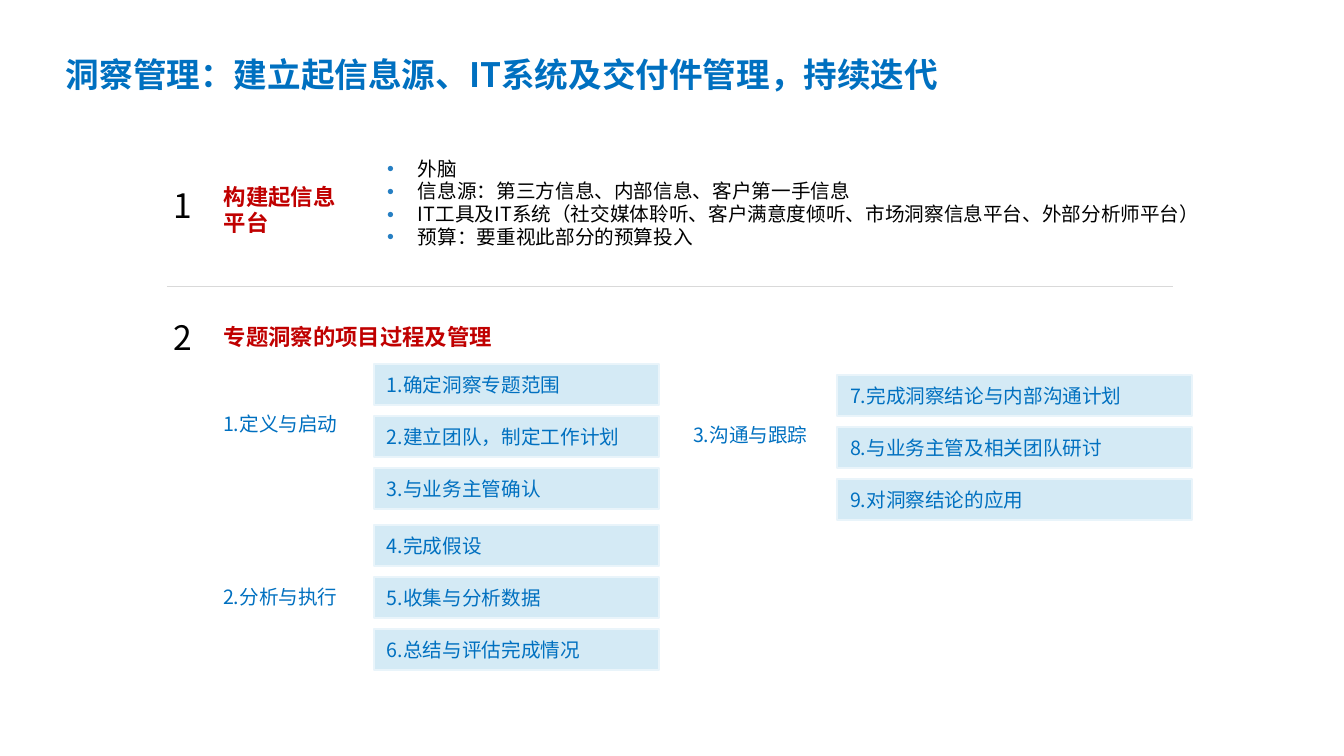
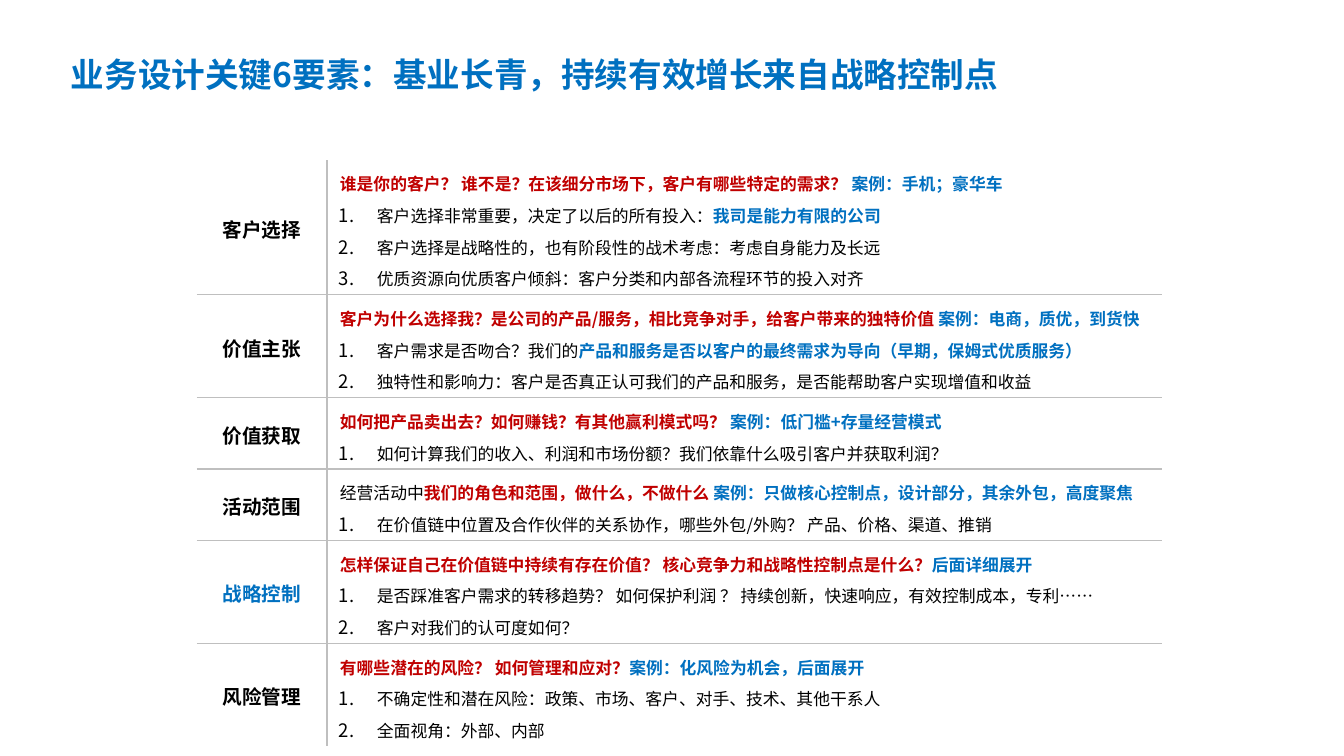
from dataclasses import dataclass

from lxml.etree import SubElement
from pptx import Presentation
from pptx.dml.color import RGBColor
from pptx.enum.shapes import MSO_CONNECTOR as Connector, MSO_SHAPE as Shape
from pptx.enum.text import MSO_ANCHOR as Anchor, MSO_AUTO_SIZE as AutoSize, PP_ALIGN as Align
from pptx.oxml.ns import qn
from pptx.util import Emu, Pt

EMU_PER_PX = 914400 / 100.8
NO_TABLE_STYLE = "{2D5ABB26-0587-4C30-8999-92F81FD0307C}"


@dataclass(frozen=True)
class Theme:
    """Colours, type sizes and font of the deck."""
    font: str = "Noto Sans CJK SC"
    blue: str = "0070C0"
    red: str = "C00000"
    black: str = "000000"
    bullet: str = "267FC3"
    bar: str = "D4EAF5"
    bar_edge: str = "E9F4FA"
    divider: str = "D9D9D9"
    grid: str = "BFBFBF"
    title: int = 24
    heading: int = 16
    body: int = 14
    detail: int = 12


THEME = Theme()
PLAIN = (THEME.black, False)
STRONG = (THEME.black, True)
ASK = (THEME.red, True)
CASE = (THEME.blue, True)
STEP = (THEME.blue, False)

SOURCES = [
    "外脑",
    "信息源：第三方信息、内部信息、客户第一手信息",
    "IT工具及IT系统（社交媒体聆听、客户满意度倾听、市场洞察信息平台、外部分析师平台）",
    "预算：要重视此部分的预算投入",
]

STAGES = [
    ("1.定义与启动", (210, 364, 449), 41, ["1.确定洞察专题范围", "2.建立团队，制定工作计划", "3.与业务主管确认"]),
    ("2.分析与执行", (210, 525, 449), 53, ["4.完成假设", "5.收集与分析数据", "6.总结与评估完成情况"]),
    ("3.沟通与跟踪", (680, 375, 512), 41,
     ["7.完成洞察结论与内部沟通计划", "8.与业务主管及相关团队研讨", "9.对洞察结论的应用"]),
]

ELEMENTS = [
    ("客户选择", STRONG, [
        [("谁是你的客户？ 谁不是？在该细分市场下，客户有哪些特定的需求？ ", ASK), ("案例：手机；豪华车", CASE)],
        [("客户选择非常重要，决定了以后的所有投入：", PLAIN), ("我司是能力有限的公司", CASE)],
        [("客户选择是战略性的，也有阶段性的战术考虑：考虑自身能力及长远", PLAIN)],
        [("优质资源向优质客户倾斜：客户分类和内部各流程环节的投入对齐", PLAIN)],
    ]),
    ("价值主张", STRONG, [
        [("客户为什么选择我？是公司的产品/服务，相比竞争对手，给客户带来的独特价值 ", ASK),
         ("案例：电商，质优，到货快", CASE)],
        [("客户需求是否吻合？我们的", PLAIN),
         ("产品和服务是否以客户的最终需求为导向（早期，保姆式优质服务）", CASE)],
        [("独特性和影响力：客户是否真正认可我们的产品和服务，是否能帮助客户实现增值和收益", PLAIN)],
    ]),
    ("价值获取", STRONG, [
        [("如何把产品卖出去？如何赚钱？有其他赢利模式吗？ ", ASK), ("案例：低门槛+存量经营模式", CASE)],
        [("如何计算我们的收入、利润和市场份额？我们依靠什么吸引客户并获取利润？", PLAIN)],
    ]),
    ("活动范围", STRONG, [
        [("经营活动中", PLAIN), ("我们的角色和范围，做什么，不做什么", ASK),
         (" 案例：只做核心控制点，设计部分，其余外包，高度聚焦", CASE)],
        [("在价值链中位置及合作伙伴的关系协作，哪些外包/外购？ 产品、价格、渠道、推销", PLAIN)],
    ]),
    ("战略控制", CASE, [
        [("怎样保证自己在价值链中持续有存在价值？ 核心竞争力和战略性控制点是什么？", ASK),
         ("后面详细展开", CASE)],
        [("是否踩准客户需求的转移趋势？ 如何保护利润 ？ 持续创新，快速响应，有效控制成本，专利……", PLAIN)],
        [("客户对我们的认可度如何？", PLAIN)],
    ]),
    ("风险管理", STRONG, [
        [("有哪些潜在的风险？ 如何管理和应对？", ASK), ("案例：化风险为机会，后面展开", CASE)],
        [("不确定性和潜在风险：政策、市场、客户、对手、技术、其他干系人", PLAIN)],
        [("全面视角：外部、内部", PLAIN)],
    ]),
]


def px(length):
    """Turn pixels into EMU."""
    return Emu(round(length * EMU_PER_PX))


def rgb(colour):
    """Turn a hex string into a colour."""
    return RGBColor.from_string(colour)


def apply_role(font, role):
    """Give a font the colour and weight of a role."""
    colour, font.bold = role
    font.color.rgb = rgb(colour)


def write(para, spans, size, align=Align.LEFT, spacing=None):
    """Fill a paragraph with (text, role) spans in the deck font."""
    para.alignment = align
    para.line_spacing = spacing
    para.font.size = Pt(size)
    para.font.name = THEME.font
    same_role = len({role for _, role in spans}) == 1
    if same_role:
        apply_role(para.font, spans[0][1])
    defaults = para._p.get_or_add_pPr().find(qn("a:defRPr"))
    SubElement(defaults, qn("a:ea"), typeface=THEME.font)
    for text, role in spans:
        span = para.add_run()
        span.text = text
        if not same_role:
            apply_role(span.font, role)


def write_lines(frame, lines, size, role, align=Align.LEFT, spacing=None):
    """Fill a text frame with one paragraph per line."""
    for index, line in enumerate(lines):
        para = frame.add_paragraph() if index else frame.paragraphs[0]
        write(para, [(line, role)], size, align, spacing)


def set_marker(para, left, hanging, colour, tag, **attributes):
    """Give a paragraph a hanging bullet or number."""
    props = para._p.get_or_add_pPr()
    props.set("marL", str(px(left)))
    props.set("indent", str(-px(hanging)))
    SubElement(SubElement(props, qn("a:buClr")), qn("a:srgbClr"), val=colour)
    if tag == "a:buAutoNum":
        SubElement(props, qn("a:buSzPct"), val="110000")
    SubElement(props, qn(tag), **attributes)


def set_frame(frame, across=10, down=5, anchor=Anchor.TOP):
    """Set insets, wrapping and anchoring of a text frame."""
    frame.auto_size = AutoSize.NONE
    frame.word_wrap = True
    frame.vertical_anchor = anchor
    frame.margin_left = frame.margin_right = px(across)
    frame.margin_top = frame.margin_bottom = px(down)


def place(shape, box):
    """Move a shape to a pixel box."""
    shape.left, shape.top, shape.width, shape.height = map(px, box)


def add_label(page, box, lines, size, role, across=10, down=5, spacing=None):
    """Add a text box with one paragraph per line."""
    frame = page.shapes.add_textbox(*map(px, box)).text_frame
    set_frame(frame, across, down)
    write_lines(frame, lines, size, role, spacing=spacing)


def add_page(deck, layout, title, box):
    """Add a slide with the shared title style."""
    page = deck.slides.add_slide(deck.slide_layouts[layout])
    place(page.shapes.title, box)
    frame = page.shapes.title.text_frame
    set_frame(frame, anchor=Anchor.MIDDLE)
    write_lines(frame, [title], THEME.title, CASE)
    return page


def add_section(page, left, top, number, heading, width, drop=0):
    """Add a section number with its red heading."""
    add_label(page, (left, top, 40, 50), [number], THEME.title, PLAIN)
    add_label(page, (left + 50, top + drop, width, 35 * len(heading)),
              heading, THEME.heading, ASK, spacing=0.96)


def add_sources(page, box):
    """Fill the body placeholder with the bulleted sources."""
    body = page.placeholders[1]
    place(body, box)
    frame = body.text_frame
    set_frame(frame, 0, 0, Anchor.MIDDLE)
    for index, source in enumerate(SOURCES):
        para = frame.add_paragraph() if index else frame.paragraphs[0]
        set_marker(para, 31, 31, THEME.bullet, "a:buChar", char="•")
        para.space_before = Pt(0)
        write(para, [(source, PLAIN)], THEME.body, spacing=0.96)


def add_divider(page, left, top, width):
    """Add a thin horizontal rule."""
    line = page.shapes.add_connector(Connector.STRAIGHT, px(left), px(top), px(left + width), px(top))
    line.line.color.rgb = rgb(THEME.divider)
    line.line.width = Pt(0.75)
    SubElement(line._element.spPr, qn("a:effectLst"))


def add_stage(page, box, name, label_drop, steps):
    """Add a stage label with its column of step bars."""
    left, top, width = box
    indent, pitch = (164 if width < 500 else 157), 52
    add_label(page, (left, top + label_drop, 151, 37), [name], THEME.body, STEP, 13, 7)
    for index, step in enumerate(steps):
        bar = page.shapes.add_shape(Shape.RECTANGLE, *map(
            px, (left + indent, top + index * pitch, width - indent, 41)))
        bar.shadow.inherit = False
        bar.fill.solid()
        bar.fill.fore_color.rgb = rgb(THEME.bar)
        bar.line.color.rgb = rgb(THEME.bar_edge)
        bar.line.width = Pt(2)
        set_frame(bar.text_frame, 13, 7, Anchor.MIDDLE)
        write_lines(bar.text_frame, [step], THEME.body, STEP)


def set_borders(cell, sides):
    """Draw grid lines on the named sides of a cell."""
    props = cell._tc.get_or_add_tcPr()
    for side in sides:
        line = SubElement(props, qn(f"a:ln{side}"), w=str(Pt(1)))
        SubElement(SubElement(line, qn("a:solidFill")), qn("a:srgbClr"), val=THEME.grid)
    cell.fill.background()


def add_elements(page, left, top, widths):
    """Add the table of design elements, with rows as high as their lines."""
    heights = [31 * len(details) + 8 for _, _, details in ELEMENTS]
    frame = page.shapes.add_table(len(ELEMENTS), 2, *map(px, (left, top, sum(widths), sum(heights))))
    table = frame.table
    table.first_row = table.horz_banding = False
    table._tbl.tblPr.find(qn("a:tableStyleId")).text = NO_TABLE_STYLE
    for column, width in zip(table.columns, widths):
        column.width = px(width)
    for index, (name, role, details) in enumerate(ELEMENTS):
        table.rows[index].height = px(heights[index])
        name_cell, detail_cell = table.rows[index].cells
        rules = ("T" if index else "") + ("B" if index < len(ELEMENTS) - 1 else "")
        for cell, inner_side in ((name_cell, "R"), (detail_cell, "L")):
            cell.margin_left = cell.margin_right = px(7)
            cell.margin_top = cell.margin_bottom = px(4)
            set_borders(cell, inner_side + rules)
        name_cell.vertical_anchor = Anchor.MIDDLE
        write_lines(name_cell.text_frame, [name], THEME.body, role, Align.CENTER, 1.1)
        for order, spans in enumerate(details):
            para = detail_cell.text_frame.add_paragraph() if order else detail_cell.text_frame.paragraphs[0]
            if order:
                set_marker(para, 43, 38, THEME.black, "a:buAutoNum", type="arabicPeriod")
            else:
                para._p.get_or_add_pPr().set("marL", str(px(6)))
            write(para, spans, THEME.detail, spacing=1.3)


def build_insight_page(deck):
    """Build the slide on insight management."""
    page = add_page(deck, 1, "洞察管理：建立起信息源、IT系统及交付件管理，持续迭代", (56, 55, 946, 38))
    add_section(page, 164, 180, "1", ["构建起信息", "平台"], 163)
    add_sources(page, (387, 149, 847, 109))
    add_divider(page, 167, 287, 1006)
    add_section(page, 164, 312, "2", ["专题洞察的项目过程及管理"], 335, 8)
    for name, box, label_drop, steps in STAGES:
        add_stage(page, box, name, label_drop, steps)


def build_design_page(deck):
    """Build the slide on the six design elements."""
    page = add_page(deck, 5, "业务设计关键6要素：基业长青，持续有效增长来自战略控制点", (61, 55, 997, 38))
    add_elements(page, 197, 160, (130, 835))


def main():
    """Build and save the deck."""
    deck = Presentation()
    deck.slide_width, deck.slide_height = px(1344), px(756)
    build_insight_page(deck)
    build_design_page(deck)
    deck.save("out.pptx")


if __name__ == "__main__":
    main()
